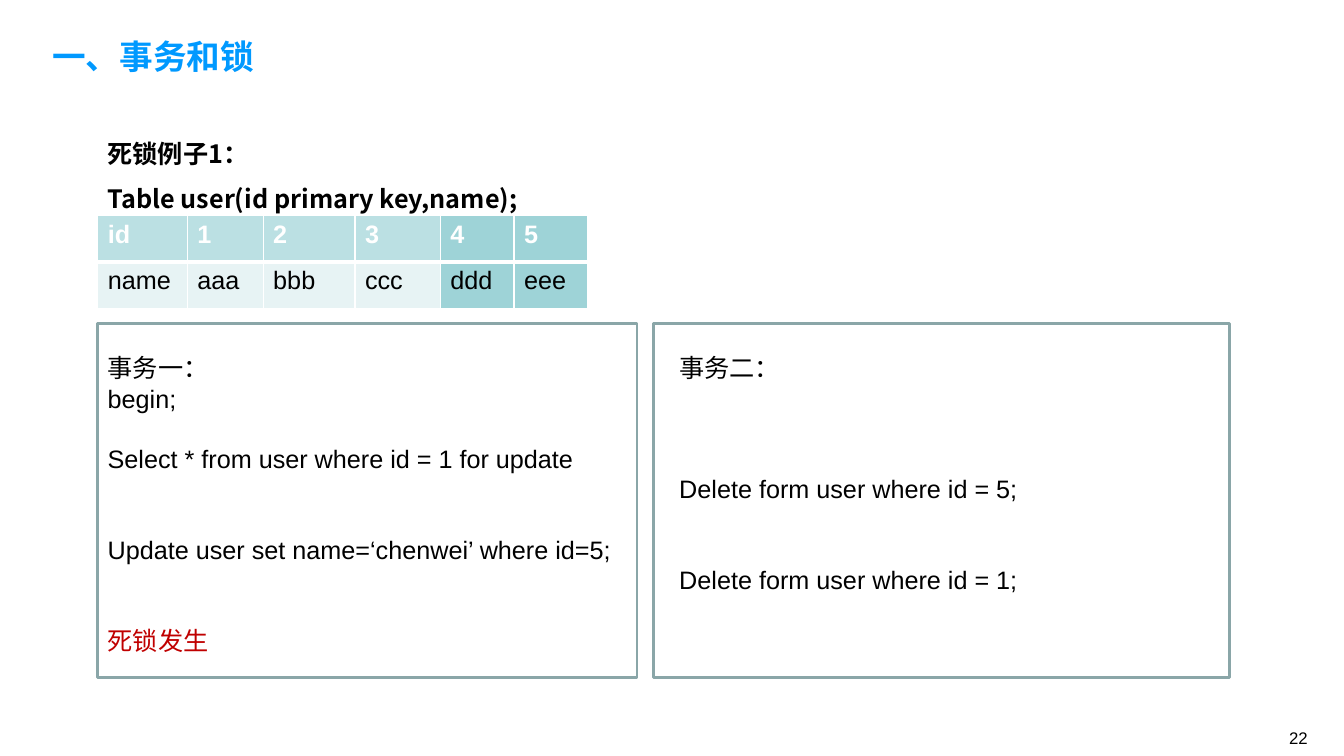
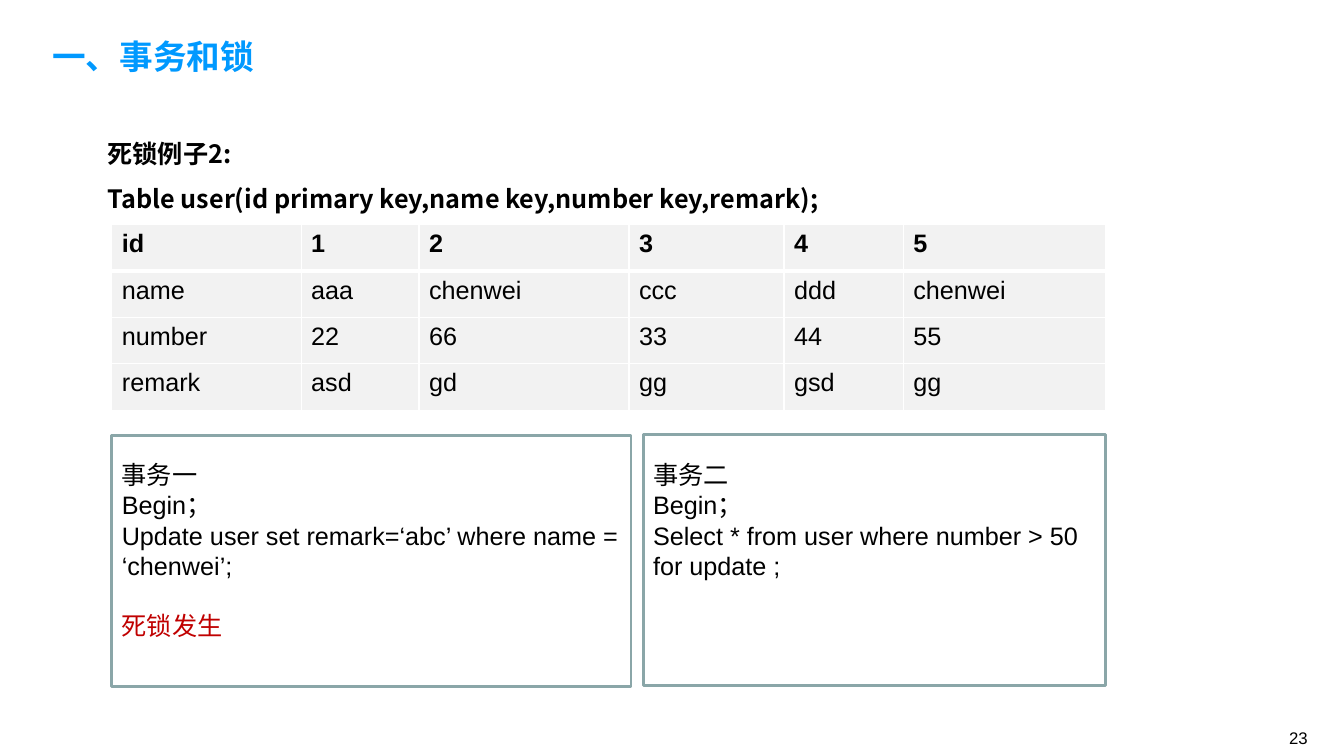
import pptx
import pptx.util
import pptx.dml.color
import pptx.enum.shapes
import pptx.enum.text
import pptx.oxml
import pptx.oxml.ns
from lxml import etree

Pt = pptx.util.Pt
RGB = pptx.dml.color.RGBColor.from_string
qn = pptx.oxml.ns.qn
COLORS = {"title": "0099FF", "text": "000000", "white": "FFFFFF", "alert": "C00000",
          "frame": "8AA6A8", "head": "BBE0E3", "body": "E7F3F4", "locked": "9ED3D7",
          "gray": "F2F2F2"}
LATIN, CJK = "Arial", "Noto Sans CJK SC"
LINE = 21.6
DEADLOCK = "死锁发生"


def add_run(p, text, size=18, color="text", bold=False, font=LATIN):
    r = p.add_run()
    r.text = text
    r.font.size = Pt(size)
    r.font.bold = bold
    r.font.color.rgb = RGB(COLORS[color])
    r.font.name = font
    etree.SubElement(r.font._element, qn("a:ea")).set("typeface", font)


def add_text(s, left, top, width, height):
    tf = s.shapes.add_textbox(Pt(left), Pt(top), Pt(width), Pt(height)).text_frame
    tf.word_wrap = True
    return tf


slides = [
    {
        "page": "22",
        "heading": ["死锁例子1：", "Table user(id primary key,name);"],
        "table": (69.8, 154.1),
        "cols": [64, 54.2, 65.6, 61, 52.6, 52.6],
        "rows": [["id", "1", "2", "3", "4", "5"],
                 ["name", "aaa", "bbb", "ccc", "ddd", "eee"]],
        "fills": [["head"] * 4 + ["locked"] * 2, ["body"] * 4 + ["locked"] * 2],
        "head_color": "white",
        "frames": [(69.8, 231.1, 385.2, 252.7), (466.6, 231.1, 411.8, 252.7)],
        "texts": [
            (69.8, 248.4, 375.1, 225.4,
             [(0, "事务一："), (0, "begin;"), (1, "Select * from user where id = 1 for update"),
              (2, "Update user set name=‘chenwei’ where id=5;"), (2, DEADLOCK)]),
            (478.1, 248.4, 375.8, 225.4,
             [(0, "事务二："), (3, "Delete form user where id = 5;"),
              (2, "Delete form user where id = 1;")]),
        ],
    },
    {
        "page": "23",
        "heading": ["死锁例子2:", "Table user(id primary key,name key,number key,remark);"],
        "table": (79.9, 160.6),
        "cols": [135.2, 84.2, 150, 110.8, 85.2, 144.6],
        "rows": [["id", "1", "2", "3", "4", "5"],
                 ["name", "aaa", "chenwei", "ccc", "ddd", "chenwei"],
                 ["number", "22", "66", "33", "44", "55"],
                 ["remark", "asd", "gd", "gg", "gsd", "gg"]],
        "fills": [["gray"] * 6] * 4,
        "head_color": "text",
        "frames": [(79.9, 311, 370.8, 179.3), (459.4, 310.3, 330.5, 179.3)],
        "texts": [
            (79.9, 324.7, 370.8, 138.2,
             [(0, "事务一"), (0, "Begin；"),
              (0, "Update user set remark=‘abc’ where name = ‘chenwei’;"), (1, DEADLOCK)]),
            (459.4, 324.7, 330.5, 138.2,
             [(0, "事务二"), (0, "Begin；"),
              (0, "Select * from user where number > 50 for update ;")]),
        ],
    },
]

prs = pptx.Presentation()
prs.slide_width, prs.slide_height = Pt(960), Pt(540)

for data in slides:
    s = prs.slides.add_slide(prs.slide_layouts[5])

    title = s.shapes.title
    title.left, title.top, title.width, title.height = Pt(30.2), Pt(15.8), Pt(607), Pt(48.2)
    title.text_frame.vertical_anchor = pptx.enum.text.MSO_ANCHOR.MIDDLE
    p = title.text_frame.paragraphs[0]
    p.alignment = pptx.enum.text.PP_ALIGN.LEFT
    add_run(p, "一、事务和锁", 24, "title", True, CJK)

    tf = add_text(s, 913.7, 516.2, 31, 11.5)
    add_run(tf.paragraphs[0], data["page"], 12)

    tf = add_text(s, 69.8, 82.8, 809.3, 72.7)
    tf.margin_top = Pt(5.6)
    for i, text in enumerate(data["heading"]):
        p = tf.add_paragraph() if i else tf.paragraphs[0]
        p.line_spacing = Pt(32.2)
        add_run(p, text, bold=True, font=CJK)

    left, top = data["table"]
    rows, cols = data["rows"], data["cols"]
    table = s.shapes.add_table(len(rows), len(cols), Pt(left), Pt(top),
                               Pt(sum(cols)), Pt(33.1 * len(rows))).table
    table.horz_banding = False
    for col, width in zip(table.columns, cols):
        col.width = Pt(width)
    for i, row in enumerate(rows):
        table.rows[i].height = Pt(33.1)
        for j, text in enumerate(row):
            cell = table.cell(i, j)
            add_run(cell.text_frame.paragraphs[0], text,
                    color="text" if i else data["head_color"], bold=i == 0)
            tcPr = cell._tc.get_or_add_tcPr()
            for side in ("L", "R", "T", "B"):
                thick = (i, side) in ((0, "B"), (1, "T"))
                ln = etree.SubElement(tcPr, qn("a:ln" + side), w=str(Pt(3 if thick else 1)))
                fill = etree.SubElement(ln, qn("a:solidFill"))
                etree.SubElement(fill, qn("a:srgbClr"), val=COLORS["white"])
            cell.fill.solid()
            cell.fill.fore_color.rgb = RGB(COLORS[data["fills"][i][j]])

    for left, top, width, height, lines in data["texts"]:
        tf = add_text(s, left, top, width, height)
        for i, (gap, text) in enumerate(lines):
            p = tf.add_paragraph() if i else tf.paragraphs[0]
            p.line_spacing = Pt(LINE)
            p.space_before = Pt(LINE * gap)
            add_run(p, text, color="alert" if text == DEADLOCK else "text")

    for left, top, width, height in data["frames"]:
        frame = s.shapes.add_shape(pptx.enum.shapes.MSO_SHAPE.RECTANGLE,
                                   Pt(left), Pt(top), Pt(width), Pt(height))
        frame.shadow.inherit = False
        frame.fill.background()
        frame.line.color.rgb = RGB(COLORS["frame"])
        frame.line.width = Pt(2)

prs.save("out.pptx")
